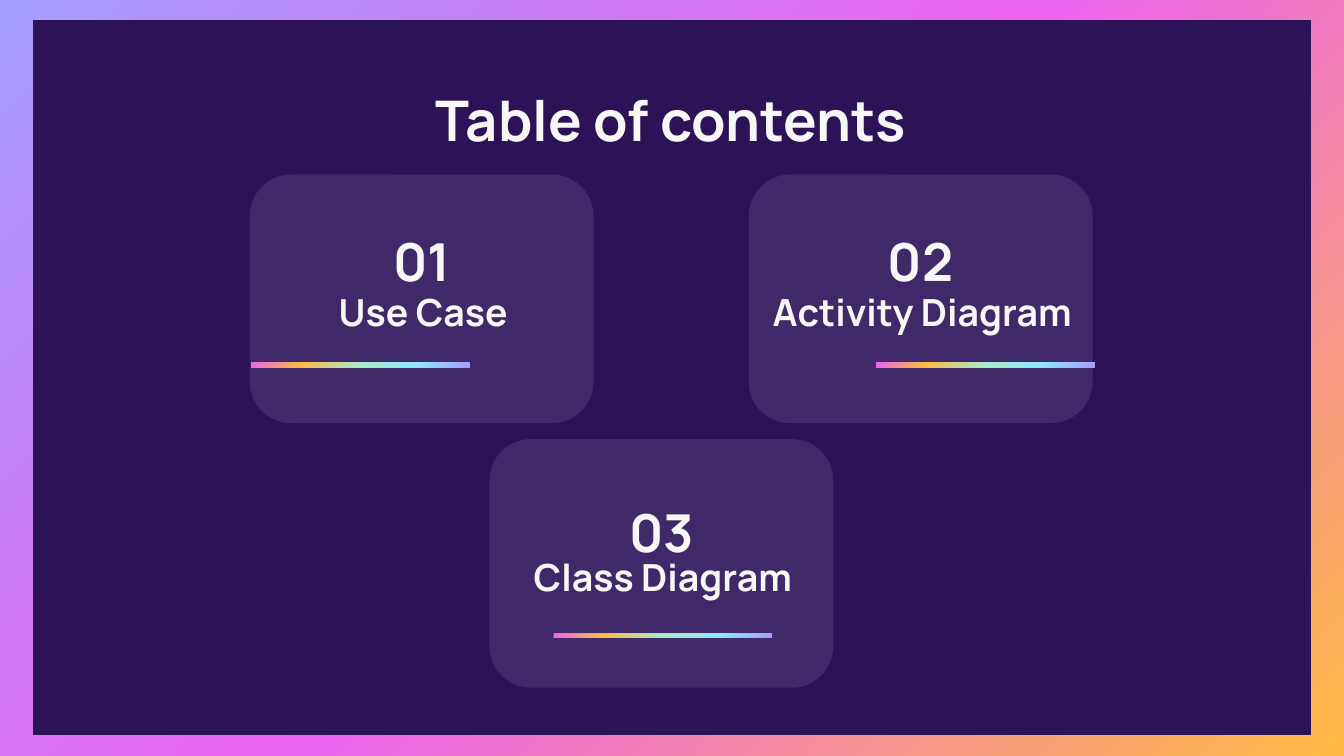
from lxml.etree import SubElement
from pptx import Presentation
from pptx.dml.color import RGBColor
from pptx.enum.shapes import MSO_SHAPE
from pptx.enum.text import MSO_ANCHOR, PP_ALIGN
from pptx.oxml.ns import qn
from pptx.util import Cm, Pt

NIGHT = RGBColor(0x2C, 0x12, 0x56)
PLUM = RGBColor(0x40, 0x29, 0x68)
IVORY = RGBColor(0xF7, 0xF7, 0xF5)
PINK = RGBColor(0xEB, 0x62, 0xF0)
AMBER = RGBColor(0xFF, 0xBB, 0x43)
MINT = RGBColor(0xA7, 0xEC, 0xC8)
SKY = RGBColor(0x8E, 0xE6, 0xFF)
LAVENDER = RGBColor(0xA4, 0x9E, 0xFF)

FRAME_STOPS = [(0, LAVENDER), (50, PINK), (100, AMBER)]
BAR_STOPS = [(0, PINK), (23, AMBER), (50, MINT), (76, SKY), (100, LAVENDER)]

FONT = "Manrope"
SLIDE_W, SLIDE_H = 25.4, 14.29
CARD_W, CARD_H = 6.5, 4.7
BAR_W, BAR_H = 4.12, 0.09

# number, topic, card left, card top, bar position (0 left to 1 right), extra drop
ENTRIES = [
    ("01", "Use Case", 4.72, 3.3, 0, 0),
    ("02", "Activity Diagram", 14.15, 3.3, 1, 0),
    ("03", "Class Diagram", 9.25, 8.3, 0.5, 0.12),
]


def apply_gradient(fill, element, stops):
    """Give the fill held in element a diagonal gradient, top left to bottom right."""
    fill.gradient()
    fill.gradient_angle = 315
    stop_list = element.find(".//" + qn("a:gsLst"))
    for old_stop in list(stop_list):
        stop_list.remove(old_stop)
    for percent, color in stops:
        stop = SubElement(stop_list, qn("a:gs"), pos=str(percent * 1000))
        SubElement(stop, qn("a:srgbClr"), val=str(color))


def add_block(slide, preset, left, top, width, height, color=None):
    block = slide.shapes.add_shape(preset, Cm(left), Cm(top), Cm(width), Cm(height))
    block.shadow.inherit = False
    block.line.fill.background()
    if color is not None:
        block.fill.solid()
        block.fill.fore_color.rgb = color
    return block


def add_label(slide, text, size, left, top, width, height):
    label = slide.shapes.add_textbox(Cm(left), Cm(top), Cm(width), Cm(height))
    frame = label.text_frame
    frame.word_wrap = True
    frame.vertical_anchor = MSO_ANCHOR.MIDDLE
    frame.margin_left = frame.margin_right = Cm(0.25)
    frame.margin_top = frame.margin_bottom = Cm(0.25)
    paragraph = frame.paragraphs[0]
    paragraph.alignment = PP_ALIGN.CENTER
    run = paragraph.add_run()
    run.text = text
    run.font.name = FONT
    run.font.size = Pt(size)
    run.font.bold = True
    run.font.color.rgb = IVORY


def add_backdrop(slide, width, height):
    apply_gradient(slide.background.fill, slide.element, FRAME_STOPS)
    side, edge = 0.63, 0.4
    panel = add_block(slide, MSO_SHAPE.RECTANGLE, side, edge,
                      width - 2 * side, height - 2 * edge, NIGHT)
    panel.line.color.rgb = NIGHT
    panel.line.width = Pt(0.75)


def add_card(slide, left, top, number, topic, bar_position, drop):
    card = add_block(slide, MSO_SHAPE.ROUNDED_RECTANGLE, left, top, CARD_W, CARD_H, PLUM)
    card.adjustments[0] = 0.167
    number_w = 2.9
    add_label(slide, number, 28, left + (CARD_W - number_w) / 2, top + 1 + drop,
              number_w, 1.27)
    add_label(slide, topic, 20, left + 0.03, top + 2.08, CARD_W, 1.02)
    bar = add_block(slide, MSO_SHAPE.RECTANGLE,
                    left + 0.03 + (CARD_W - BAR_W) * bar_position,
                    top + 3.55 + drop, BAR_W, BAR_H)
    apply_gradient(bar.fill, bar.element, BAR_STOPS)


def main():
    deck = Presentation()
    deck.slide_width, deck.slide_height = Cm(SLIDE_W), Cm(SLIDE_H)
    slide = deck.slides.add_slide(deck.slide_layouts[6])
    add_backdrop(slide, SLIDE_W, SLIDE_H)
    add_label(slide, "Table of contents", 30, 1.98, 1.47, 21.41, 1.57)
    for number, topic, left, top, bar_position, drop in ENTRIES:
        add_card(slide, left, top, number, topic, bar_position, drop)
    deck.save("out.pptx")


if __name__ == "__main__":
    main()
